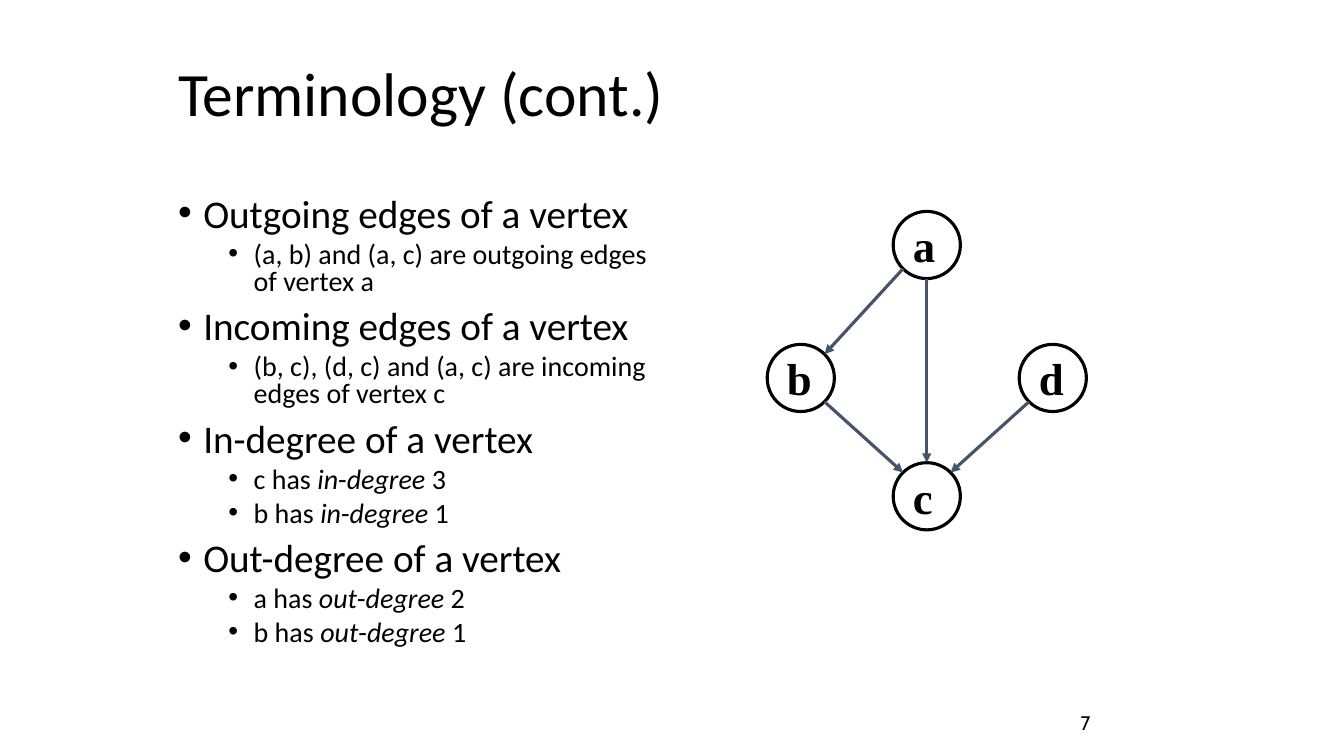
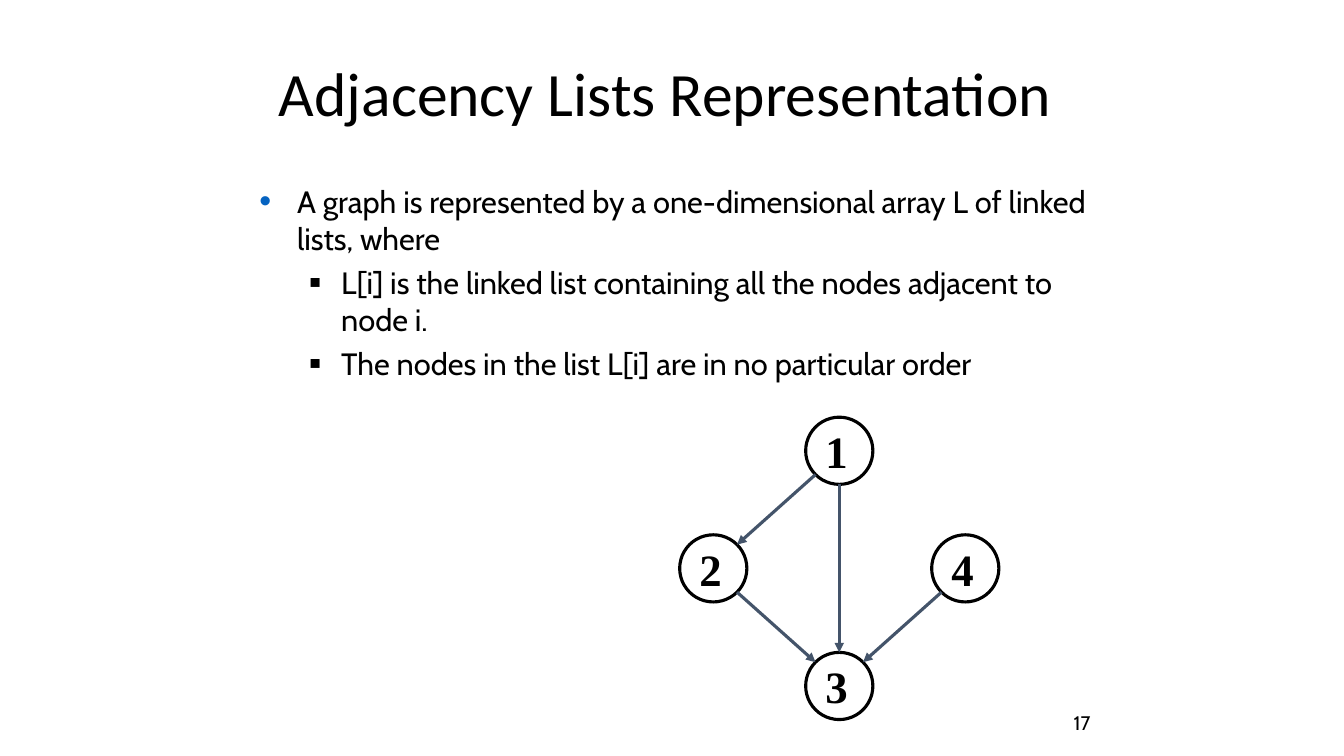
import math
from dataclasses import dataclass

import pptx
import pptx.dml.color
import pptx.enum.shapes
import pptx.enum.text
import pptx.oxml
import pptx.oxml.ns
import pptx.util
from lxml import etree

Pt = pptx.util.Pt
qn = pptx.oxml.ns.qn
RGBColor = pptx.dml.color.RGBColor
MSO_ANCHOR = pptx.enum.text.MSO_ANCHOR
PP_ALIGN = pptx.enum.text.PP_ALIGN


@dataclass(frozen=True)
class Theme:
    ink: RGBColor = RGBColor(0x00, 0x00, 0x00)
    edge: RGBColor = RGBColor(0x44, 0x54, 0x6A)
    accent: RGBColor = RGBColor(0x05, 0x63, 0xC1)
    main_font: str = "Calibri"
    second_font: str = "Cabin"
    node_font: str = "Times New Roman"
    title_size: float = 44
    topic_size: float = 28
    detail_size: float = 20
    point_size: float = 22
    node_size: float = 32
    number_size: float = 14
    line_width: float = 2.25


THEME = Theme()


@dataclass(frozen=True)
class Box:
    left: float
    top: float
    width: float
    height: float

    def lengths(self) -> tuple:
        return Pt(self.left), Pt(self.top), Pt(self.width), Pt(self.height)


@dataclass(frozen=True)
class ListLevel:
    size: float
    font: str
    margin: float
    hang: float
    space_before: float
    line_spacing: float
    bullet: str = "•"
    bullet_color: RGBColor = THEME.ink
    bullet_percent: int = 100


@dataclass(frozen=True)
class Item:
    """One list entry; words between asterisks are italic."""
    text: str
    level: int = 0


@dataclass(frozen=True)
class Graph:
    """Node labels run top, left, right, bottom; drops are measured from the top node."""
    labels: str
    center_x: float
    top_y: float
    side_drop: float
    bottom_drop: float


@dataclass(frozen=True)
class Page:
    title: str
    title_box: Box
    number: str
    levels: tuple
    items: tuple
    body_box: Box
    graph: Graph


NUMBER_BOX = Box(636, 492, 150, 36)
NODE_DIAMETER = 48
SIDE_OFFSET = 90
EDGES = ((0, 1), (1, 3), (2, 3), (0, 3))

TOPIC_LEVELS = (
    ListLevel(THEME.topic_size, THEME.main_font, 18, 18, 10, 0.8),
    ListLevel(THEME.detail_size, THEME.main_font, 54, 18, 5, 0.8),
)
POINT_LEVELS = (
    ListLevel(THEME.point_size, THEME.second_font, 27, 27, 5.3, 1.0,
              bullet_color=THEME.accent, bullet_percent=110),
    ListLevel(THEME.point_size, THEME.second_font, 58.5, 22.5, 5.3, 1.0,
              bullet="■", bullet_percent=60),
)

PAGES = (
    Page(
        title="Terminology (cont.)",
        title_box=Box(120, 24, 612, 90),
        number="7",
        levels=TOPIC_LEVELS,
        items=(
            Item("Outgoing edges of a vertex"),
            Item("(a, b) and (a, c) are outgoing edges of vertex a", 1),
            Item("Incoming edges of a vertex"),
            Item("(b, c), (d, c) and (a, c) are incoming edges of vertex c", 1),
            Item("In-degree of a vertex"),
            Item("c has *in*-*degree* 3", 1),
            Item("b has *in*-*degree* 1", 1),
            Item("Out-degree of a vertex"),
            Item("a has *out*-*degree* 2", 1),
            Item("b has *out*-*degree* 1", 1),
        ),
        body_box=Box(120, 138, 368, 336),
        graph=Graph("abdc", 662, 175, 95, 179.5),
    ),
    Page(
        title="Adjacency Lists Representation",
        title_box=Box(192, 24, 648, 90),
        number="17",
        levels=POINT_LEVELS,
        items=(
            Item("A graph is represented by a one-dimensional array L of linked lists, where"),
            Item("L[i] is the linked list containing all the nodes adjacent to node i.", 1),
            Item("The nodes in the list L[i] are in no particular order", 1),
        ),
        body_box=Box(178, 126.7, 608.4, 387.4),
        graph=Graph("1243", 599.5, 322, 84, 168),
    ),
)


def add_text(para, text: str, *, size: float, font: str, bold: bool = False,
             italic: bool = False, color: RGBColor = THEME.ink) -> None:
    span = para.add_run()
    span.text = text
    span.font.size = Pt(size)
    span.font.name = font
    span.font.bold = bold
    span.font.italic = italic
    span.font.color.rgb = color


def prepare_frame(shape, anchor, wrap: bool = True):
    frame = shape.text_frame
    frame.auto_size = pptx.enum.text.MSO_AUTO_SIZE.NONE
    frame.word_wrap = wrap
    frame.vertical_anchor = anchor
    return frame


def place(shape, box: Box) -> None:
    shape.left, shape.top, shape.width, shape.height = box.lengths()


def set_bullet(para, style: ListLevel) -> None:
    properties = para._p.get_or_add_pPr()
    properties.set("marL", str(Pt(style.margin)))
    properties.set("indent", str(-Pt(style.hang)))
    color = etree.SubElement(properties, qn("a:buClr"))
    etree.SubElement(color, qn("a:srgbClr"), val=str(style.bullet_color))
    etree.SubElement(properties, qn("a:buSzPct"), val=str(style.bullet_percent * 1000))
    etree.SubElement(properties, qn("a:buFont"), typeface="Arial")
    etree.SubElement(properties, qn("a:buChar"), char=style.bullet)


def fill_title(slide, page: Page) -> None:
    title = slide.shapes.title
    place(title, page.title_box)
    para = prepare_frame(title, MSO_ANCHOR.MIDDLE).paragraphs[0]
    para.alignment = PP_ALIGN.LEFT
    para.line_spacing = 0.9
    add_text(para, page.title, size=THEME.title_size, font=THEME.main_font)


def fill_body(slide, page: Page) -> None:
    body = slide.placeholders[1]
    place(body, page.body_box)
    frame = prepare_frame(body, MSO_ANCHOR.TOP)
    for index, item in enumerate(page.items):
        para = frame.add_paragraph() if index else frame.paragraphs[0]
        style = page.levels[item.level]
        para.level = item.level
        para.alignment = PP_ALIGN.LEFT
        para.line_spacing = style.line_spacing
        para.space_before = Pt(style.space_before if index else 0)
        set_bullet(para, style)
        for part, text in enumerate(item.text.split("*")):
            add_text(para, text, size=style.size, font=style.font, italic=part % 2 == 1)


def add_number(slide, number: str) -> None:
    box = slide.shapes.add_textbox(*NUMBER_BOX.lengths())
    para = prepare_frame(box, MSO_ANCHOR.BOTTOM).paragraphs[0]
    para.alignment = PP_ALIGN.RIGHT
    add_text(para, number, size=THEME.number_size, font=THEME.second_font)


def add_node(slide, label: str, center: tuple) -> None:
    radius = NODE_DIAMETER / 2
    box = Box(center[0] - radius, center[1] - radius, NODE_DIAMETER, NODE_DIAMETER)
    node = slide.shapes.add_shape(pptx.enum.shapes.MSO_SHAPE.OVAL, *box.lengths())
    node.shadow.inherit = False
    node.fill.background()
    node.line.color.rgb = THEME.ink
    node.line.width = Pt(THEME.line_width)
    para = prepare_frame(node, MSO_ANCHOR.MIDDLE, wrap=False).paragraphs[0]
    para.alignment = PP_ALIGN.LEFT
    add_text(para, label, size=THEME.node_size, font=THEME.node_font, bold=True)


def rim_point(center: tuple, toward: tuple) -> tuple:
    """Nearest of the circle's eight compass points in the direction of another node."""
    signs = [(b > a) - (b < a) for a, b in zip(center, toward)]
    reach = NODE_DIAMETER / 2 / math.hypot(*signs)
    return tuple(a + sign * reach for a, sign in zip(center, signs))


def add_edge(slide, start: tuple, end: tuple) -> None:
    points = (*rim_point(start, end), *rim_point(end, start))
    edge = slide.shapes.add_connector(
        pptx.enum.shapes.MSO_CONNECTOR.STRAIGHT, *(Pt(value) for value in points))
    edge.line.color.rgb = THEME.edge
    edge.line.width = Pt(THEME.line_width)
    properties = edge.element.spPr
    etree.SubElement(properties.find(qn("a:ln")), qn("a:tailEnd"), type="triangle")
    etree.SubElement(properties, qn("a:effectLst"))


def add_graph(slide, graph: Graph) -> None:
    x, y = graph.center_x, graph.top_y
    centers = (
        (x, y),
        (x - SIDE_OFFSET, y + graph.side_drop),
        (x + SIDE_OFFSET, y + graph.side_drop),
        (x, y + graph.bottom_drop),
    )
    for label, center in zip(graph.labels, centers):
        add_node(slide, label, center)
    for start, end in EDGES:
        add_edge(slide, centers[start], centers[end])


def main() -> None:
    deck = pptx.Presentation()
    deck.slide_width, deck.slide_height = Pt(960), Pt(540)
    for page in PAGES:
        slide = deck.slides.add_slide(deck.slide_layouts[1])
        add_number(slide, page.number)
        fill_title(slide, page)
        fill_body(slide, page)
        add_graph(slide, page.graph)
    deck.save("out.pptx")


if __name__ == "__main__":
    main()
